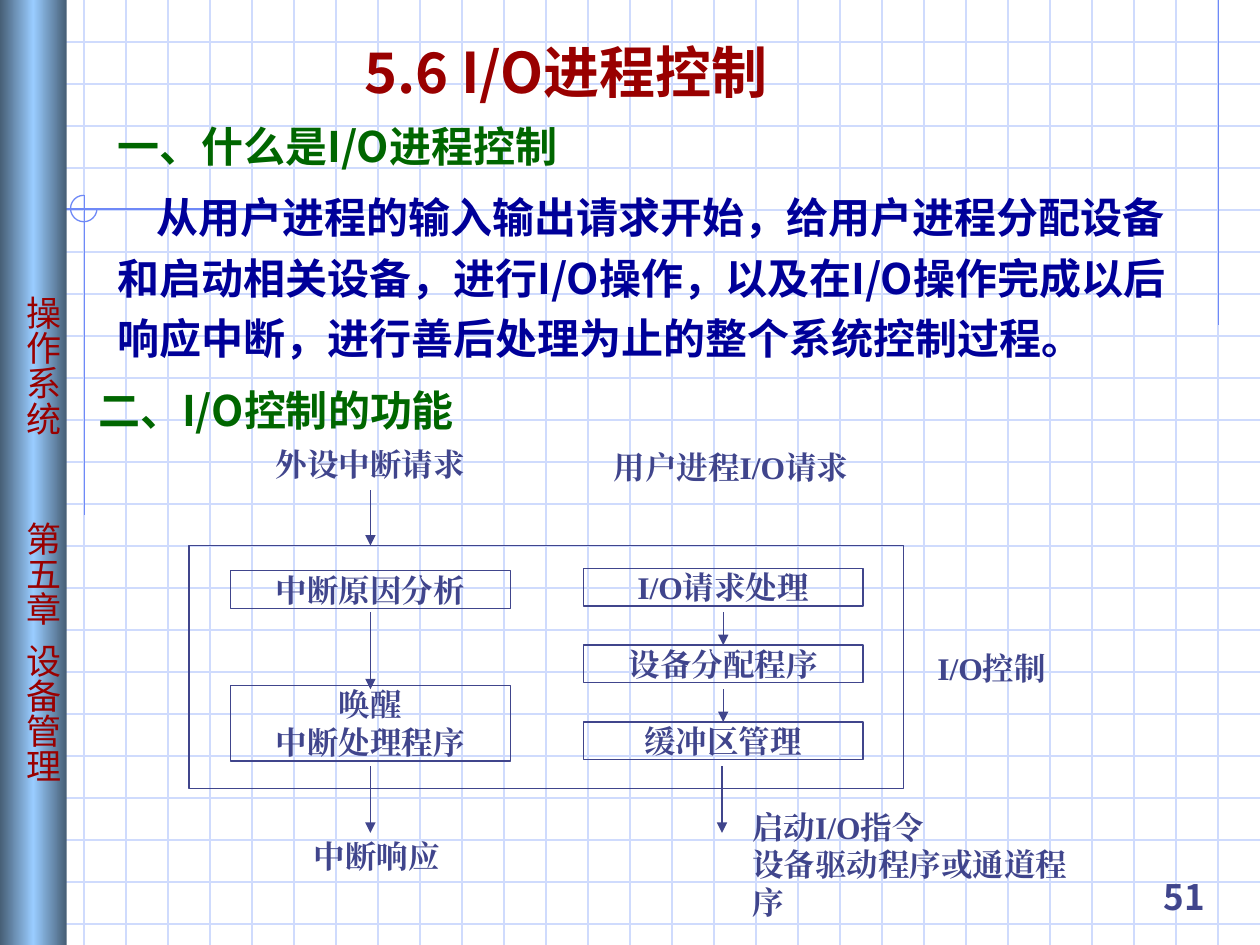
"""Build the slide on I/O process control."""
from copy import deepcopy
from dataclasses import dataclass

from pptx import Presentation
from pptx.dml.color import RGBColor
from pptx.enum.shapes import MSO_CONNECTOR, MSO_SHAPE
from pptx.enum.text import MSO_ANCHOR, MSO_AUTO_SIZE, PP_ALIGN
from pptx.oxml.ns import qn
from pptx.util import Inches, Pt

LINE = MSO_CONNECTOR.STRAIGHT
RECT, ARC = MSO_SHAPE.RECTANGLE, MSO_SHAPE.ARC
TOP, BOTTOM = MSO_ANCHOR.TOP, MSO_ANCHOR.BOTTOM
LEFT, CENTER, RIGHT = PP_ALIGN.LEFT, PP_ALIGN.CENTER, PP_ALIGN.RIGHT
FIXED = MSO_AUTO_SIZE.NONE


@dataclass
class Theme:
    sans: str = "Noto Sans CJK SC"
    serif: str = "Times New Roman"
    grid: str = "CFDBFD"
    trim: str = "6F89F7"
    edge: str = "465E75"
    glow: str = "99CCFF"
    ink: str = "40458C"
    red: str = "990000"
    green: str = "006600"
    navy: str = "000099"
    title: int = 32
    body: int = 24
    side: int = 20
    label: int = 18
    rule: float = 0.75


theme = Theme()


def write(para, text, size, color, face=theme.sans, bold=True):
    run = para.add_run()
    run.text = text
    font = run.font
    font.size, font.bold = Pt(size), bold
    font.color.rgb = RGBColor.from_string(color)
    font.name = face
    east = run._r.get_or_add_rPr().makeelement(qn("a:ea"), {"typeface": face})
    run._r.rPr.append(east)


def draw(x1, y1, x2, y2, color, arrow=False):
    line = slide.shapes.add_connector(LINE, Inches(x1), Inches(y1), Inches(x2), Inches(y2))
    line.line.color.rgb = RGBColor.from_string(color)
    line.line.width = Pt(theme.rule)
    props = line._element.spPr
    props.append(props.makeelement(qn("a:effectLst"), {}))
    if arrow:
        stroke = line.line._get_or_add_ln()
        stroke.append(stroke.makeelement(qn("a:tailEnd"), {"type": "triangle"}))
    return line


deck = Presentation()
deck.slide_width, deck.slide_height = Inches(10), Inches(7.5)
slide = deck.slides.add_slide(deck.slide_layouts[1])
shapes = slide.shapes
title, body = shapes.title, slide.placeholders[1]

for i in range(1, 23):
    draw(0, i / 3, 10, i / 3, theme.grid)
for i in range(1, 30):
    draw(i / 3, 0, i / 3, 7.5, theme.grid)
for ends in ((9.67, 0, 9.67, 2.58), (2.4, 1.66, 0.45, 1.66), (0.67, 1.55, 0.67, 4.09)):
    draw(*ends, theme.trim)
ring = shapes.add_shape(ARC, Inches(0.56), Inches(1.55), Inches(0.21), Inches(0.21))
ring.shadow.inherit = False
ring.adjustments[0], ring.adjustments[1] = 0, 162
ring.fill.background()
ring.line.color.rgb = RGBColor.from_string(theme.trim)
ring.line.width = Pt(theme.rule)

side = shapes.add_shape(RECT, 0, 0, Inches(0.53), Inches(7.5))
side.shadow.inherit = False
side.line.fill.background()
side.fill.gradient()
side.fill.gradient_angle = 0
stops = side._element.spPr.find(".//" + qn("a:gsLst"))
stops.insert(1, deepcopy(stops[0]))
for stop, place, color in zip(side.fill.gradient_stops, (0, 0.5, 1),
                              (theme.edge, theme.glow, theme.edge)):
    stop.position = place
    stop.color.rgb = RGBColor.from_string(color)
frame = side.text_frame
frame._txBody.bodyPr.set("vert", "eaVert")
frame.vertical_anchor = TOP
frame.margin_left, frame.margin_right = Inches(0.05), Inches(0.02)
frame.margin_top = frame.margin_bottom = Inches(0.1)
para = frame.paragraphs[0]
para.alignment = LEFT
props = para._p.get_or_add_pPr()
tabs = props.makeelement(qn("a:tabLst"), {})
props.append(tabs)
for place in (2.25, 4.04, 5.01):
    tabs.append(tabs.makeelement(qn("a:tab"), {"pos": str(Inches(place)), "algn": "l"}))
write(para, "\t操作系统\t第五章\t设备管理", theme.side, theme.red, bold=False)

for holder, x, y, w, h in ((title, 2.79, 0.25, 3.64, 0.64), (body, 0.83, 0.83, 8.75, 2.11)):
    slide.shapes._spTree.append(holder._element)
    holder.left, holder.top = Inches(x), Inches(y)
    holder.width, holder.height = Inches(w), Inches(h)
    holder.text_frame.auto_size = FIXED
    holder.text_frame.word_wrap = True
    holder.text_frame.vertical_anchor = TOP
para = title.text_frame.paragraphs[0]
para.alignment = LEFT
write(para, "5.6 I/O进程控制", theme.title, theme.red)

frame = body.text_frame
parts = (
    ("一、什么是I/O进程控制", theme.green, 0, 0),
    ("从用户进程的输入输出请求开始，给用户进程分配设备和启动相关设备，进行I/O操作，"
     "以及在I/O操作完成以后响应中断，进行善后处理为止的整个系统控制过程。", theme.navy, 6, 0.31),
)
for i, (text, color, gap, dent) in enumerate(parts):
    para = frame.add_paragraph() if i else frame.paragraphs[0]
    props = para._p.get_or_add_pPr()
    props.set("marL", "0")
    props.set("indent", str(Inches(dent)))
    props.append(props.makeelement(qn("a:buNone"), {}))
    para.line_spacing, para.space_before = 1.2, Pt(gap)
    write(para, text, theme.body, color)

head = shapes.add_textbox(Inches(0.68), Inches(3), Inches(3.19), Inches(0.5))
head.text_frame.word_wrap = False
write(head.text_frame.paragraphs[0], "二、I/O控制的功能", theme.body, theme.green)

labels = (
    (2.15, 3.53, 1.58, 0.3, CENTER, ["外设中断请求"]),
    (4.77, 3.56, 2.06, 0.3, CENTER, ["用户进程I/O请求"]),
    (2.45, 6.64, 1.08, 0.3, CENTER, ["中断响应"]),
    (5.93, 6.41, 2.83, 0.6, LEFT, ["启动I/O指令", "设备驱动程序或通道程序"]),
    (7.37, 5.15, 1, 0.3, CENTER, ["I/O控制"]),
)
boxes = (
    (1.5, 4.33, 5.67, 1.93, CENTER, []),
    (1.83, 4.53, 2.22, 0.3, CENTER, ["中断原因分析"]),
    (1.83, 5.44, 2.22, 0.6, CENTER, ["唤醒", "中断处理程序"]),
    (4.63, 4.51, 2.22, 0.3, CENTER, ["I/O请求处理"]),
    (4.63, 5.12, 2.22, 0.3, CENTER, ["设备分配程序"]),
    (4.63, 5.73, 2.22, 0.3, CENTER, ["缓冲区管理"]),
)
steps = []
for x, y, w, h, align, lines in boxes + labels:
    area = Inches(x), Inches(y), Inches(w), Inches(h)
    if len(steps) < len(boxes):
        item = shapes.add_shape(RECT, *area)
        item.shadow.inherit = False
        item.fill.background()
        item.line.color.rgb = RGBColor.from_string(theme.ink)
        item.line.width = Pt(theme.rule)
        item.text_frame.word_wrap = True
    else:
        item = shapes.add_textbox(*area)
        item.text_frame.word_wrap = False
    steps.append(item)
    frame = item.text_frame
    frame.vertical_anchor = TOP
    frame.margin_left = frame.margin_right = Inches(0.04)
    frame.margin_top = frame.margin_bottom = 0
    for i, text in enumerate(lines):
        para = frame.add_paragraph() if i else frame.paragraphs[0]
        para.alignment = align
        write(para, text, theme.label, theme.ink, theme.serif)

arrows = (
    (2.94, 3.89, 4.33, None),
    (2.94, 4.86, 5.47, None),
    (2.94, 6.08, 6.61, None),
    (5.74, 4.86, 5.12, steps[4]),
    (5.74, 5.47, 5.73, steps[5]),
    (5.73, 6.08, 6.61, None),
)
for x, start, end, goal in arrows:
    line = draw(x, start, x, end, theme.ink, True)
    if goal:
        line.end_connect(goal, 0)

page = shapes.add_textbox(Inches(8.83), Inches(6.83), Inches(0.83), Inches(0.5))
page.text_frame.word_wrap = True
page.text_frame.vertical_anchor = BOTTOM
para = page.text_frame.paragraphs[0]
para.alignment = RIGHT
write(para, "51", theme.side, theme.ink)

deck.save("out.pptx")
